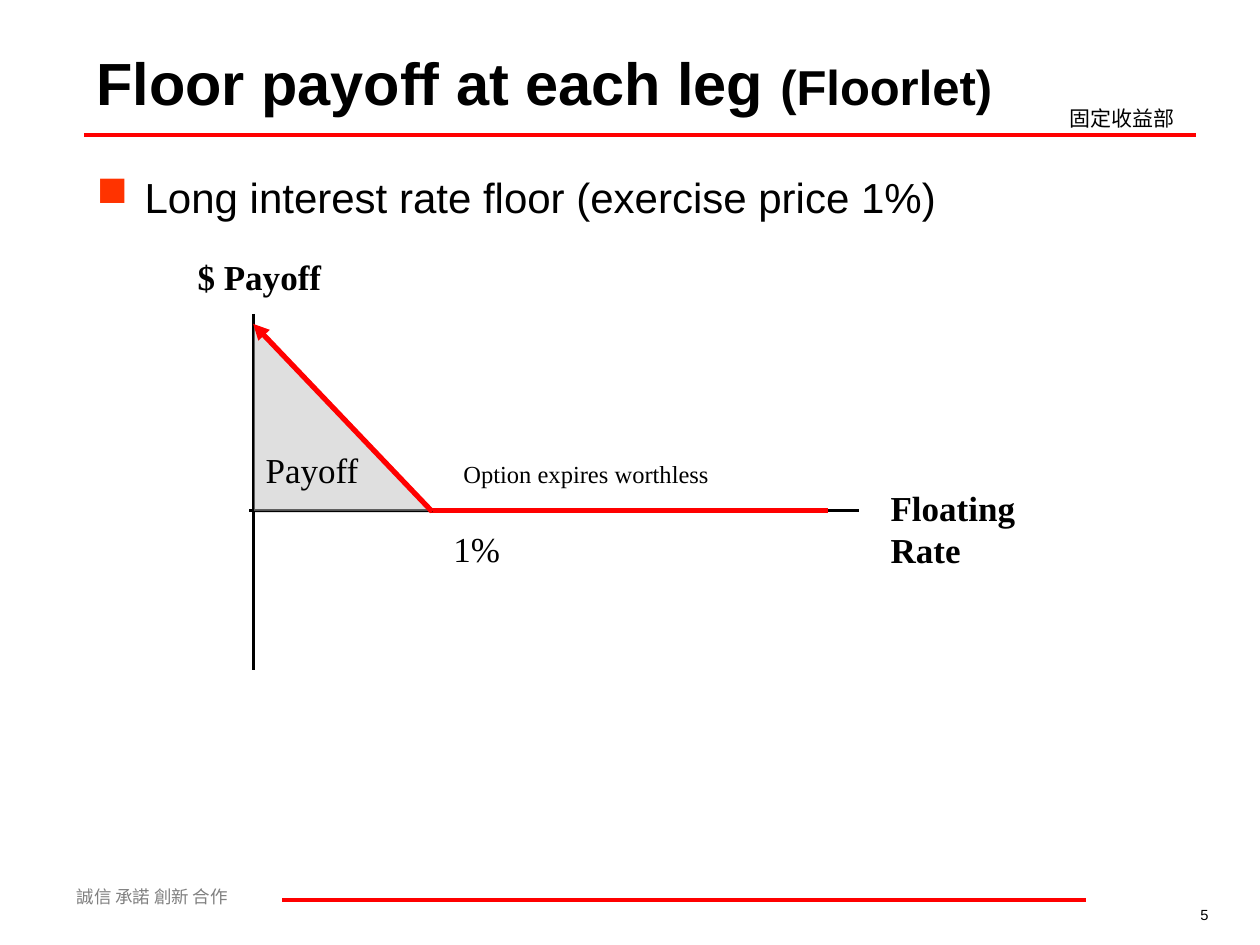
from dataclasses import dataclass

from lxml.etree import SubElement
from pptx import Presentation
from pptx.dml.color import RGBColor
from pptx.enum.shapes import MSO_CONNECTOR, MSO_SHAPE
from pptx.enum.text import MSO_ANCHOR, PP_ALIGN
from pptx.oxml.ns import qn
from pptx.util import Pt


@dataclass(frozen=True)
class Theme:
    black: str = "000000"
    red: str = "FF0000"
    bullet: str = "FF3300"
    gray: str = "808080"
    area: str = "C0C0C0"
    sans: str = "Arial"
    serif: str = "Times New Roman"
    chinese: str = "Noto Sans CJK SC"
    title: float = 34
    subtitle: float = 28
    body: float = 24
    label: float = 20
    note: float = 14
    department: float = 12
    motto: float = 10
    number: float = 8.4
    rule: float = 2.25
    axis: float = 1.5
    payoff: float = 3


THEME = Theme()


def add_text(page, box, text, size, font=THEME.sans, color=THEME.black,
             bold=False, wrap=True):
    """Add a one-paragraph text box and return its paragraph."""
    frame = page.shapes.add_textbox(*map(Pt, box)).text_frame
    frame.word_wrap = wrap
    para = frame.paragraphs[0]
    para.add_run().text = text
    para.font.size = Pt(size)
    para.font.bold = bold
    para.font.color.rgb = RGBColor.from_string(color)
    para.font.name = font
    properties = para._p.get_or_add_pPr().find(qn("a:defRPr"))
    SubElement(properties, qn("a:ea"), typeface=font)
    return para


def add_line(page, start, end, color, width, arrow=False):
    line = page.shapes.add_connector(
        MSO_CONNECTOR.STRAIGHT, *map(Pt, (*start, *end)))
    line.line.color.rgb = RGBColor.from_string(color)
    line.line.width = Pt(width)
    if arrow:
        SubElement(line.line._get_or_add_ln(), qn("a:tailEnd"), type="triangle")
    SubElement(line._element.spPr, qn("a:effectLst"))


def add_header(page, left, top, width, height):
    para = add_text(page, (left, top, 527, 49.7), "Floor payoff at each leg ",
                    THEME.title, bold=True)
    span = para.add_run()
    span.text = "(Floorlet)"
    span.font.size = Pt(THEME.subtitle)
    page.shapes[-1].text_frame.vertical_anchor = MSO_ANCHOR.MIDDLE

    bottom = top + height
    add_line(page, (left, bottom), (left + width, bottom), THEME.red, THEME.rule)
    department = add_text(page, (left + 555.8, bottom - 20.2, 90.7, 21.6),
                          "固定收益部", THEME.department, THEME.chinese)
    department.space_before = Pt(7.5)


def add_bullet(page, left, top, width, height):
    para = add_text(page, (left, top, width, height),
                    "Long interest rate floor (exercise price 1%)", THEME.body)
    para.space_before = Pt(6)
    properties = para._p.get_or_add_pPr()
    indent = Pt(27.4)
    properties.set("marL", str(indent))
    properties.set("indent", str(-indent))
    color = properties.makeelement(qn("a:buClr"), {})
    SubElement(color, qn("a:srgbClr"), val=THEME.bullet)
    mark = properties.makeelement(qn("a:buChar"), {"char": "■"})
    defaults = properties.find(qn("a:defRPr"))
    defaults.addprevious(color)
    defaults.addprevious(mark)


def add_payoff_area(page, left, top, width, height):
    area = page.shapes.add_shape(
        MSO_SHAPE.RIGHT_TRIANGLE, *map(Pt, (left, top, width, height)))
    area.shadow.inherit = False
    area.fill.solid()
    area.fill.fore_color.rgb = RGBColor.from_string(THEME.area)
    fill_color = area._element.spPr.find(qn("a:solidFill"))[0]
    SubElement(fill_color, qn("a:alpha"), val="50000")
    area.line.color.rgb = RGBColor.from_string(THEME.black)
    area.line.width = Pt(0.75)


def add_diagram(page, left, top, width, height):
    """Draw the floorlet payoff against the floating rate."""
    axis_x, axis_y = left + 38.9, top + 149
    strike_x, peak_y = axis_x + 102.2, top + 42.5

    add_line(page, (axis_x, top + 36.7), (axis_x, top + height),
             THEME.black, THEME.axis)
    add_line(page, (axis_x - 2.2, axis_y), (axis_x + 346.3, axis_y),
             THEME.black, THEME.axis)
    add_line(page, (strike_x - 1.4, axis_y), (axis_x + 328.3, axis_y),
             THEME.red, THEME.payoff)
    add_payoff_area(page, axis_x, peak_y, strike_x - axis_x, axis_y - peak_y + 0.7)
    add_line(page, (strike_x, axis_y + 0.7), (axis_x, peak_y),
             THEME.red, THEME.payoff, arrow=True)

    labels = (
        ("$ Payoff", 0, 0, 85, THEME.label, True),
        ("Option expires worthless", 151.9, 115.9, 154.8, THEME.note, False),
        ("1%", 146.2, 155.5, 41, THEME.label, False),
        ("Floating Rate", 396, 131.8, 130.3, THEME.label, True),
        ("Payoff", 38.9, 110.2, 67.7, THEME.label, False),
    )
    for text, x, y, label_width, size, bold in labels:
        add_text(page, (left + x, top + y, label_width, size * 1.2 + 7.2), text,
                 size, THEME.serif, bold=bold, wrap=False)


def add_footer(page, left, top, width, height):
    motto = add_text(page, (left, top, 181.4, 19.4), "誠信 承諾 創新 合作",
                     THEME.motto, THEME.chinese, THEME.gray)
    motto.space_before = Pt(6.2)
    rule_y = top + 11.5
    add_line(page, (left + 124.6, rule_y), (left + 584, rule_y),
             THEME.red, THEME.rule)
    number_width = 99.4
    number = add_text(page, (left + width - number_width, rule_y, number_width,
                             height - 11.5), "5", THEME.number)
    number.alignment = PP_ALIGN.RIGHT


def main():
    deck = Presentation()
    deck.slide_width, deck.slide_height = Pt(720), Pt(540)
    page = deck.slides.add_slide(deck.slide_layouts[6])
    add_header(page, 48.2, 21.6, 635, 55.4)
    add_bullet(page, 48.2, 94.3, 635.8, 388)
    add_diagram(page, 105.8, 142.6, 526.3, 240.4)
    add_footer(page, 36.7, 502.6, 661, 28.8)
    deck.save("out.pptx")


if __name__ == "__main__":
    main()
